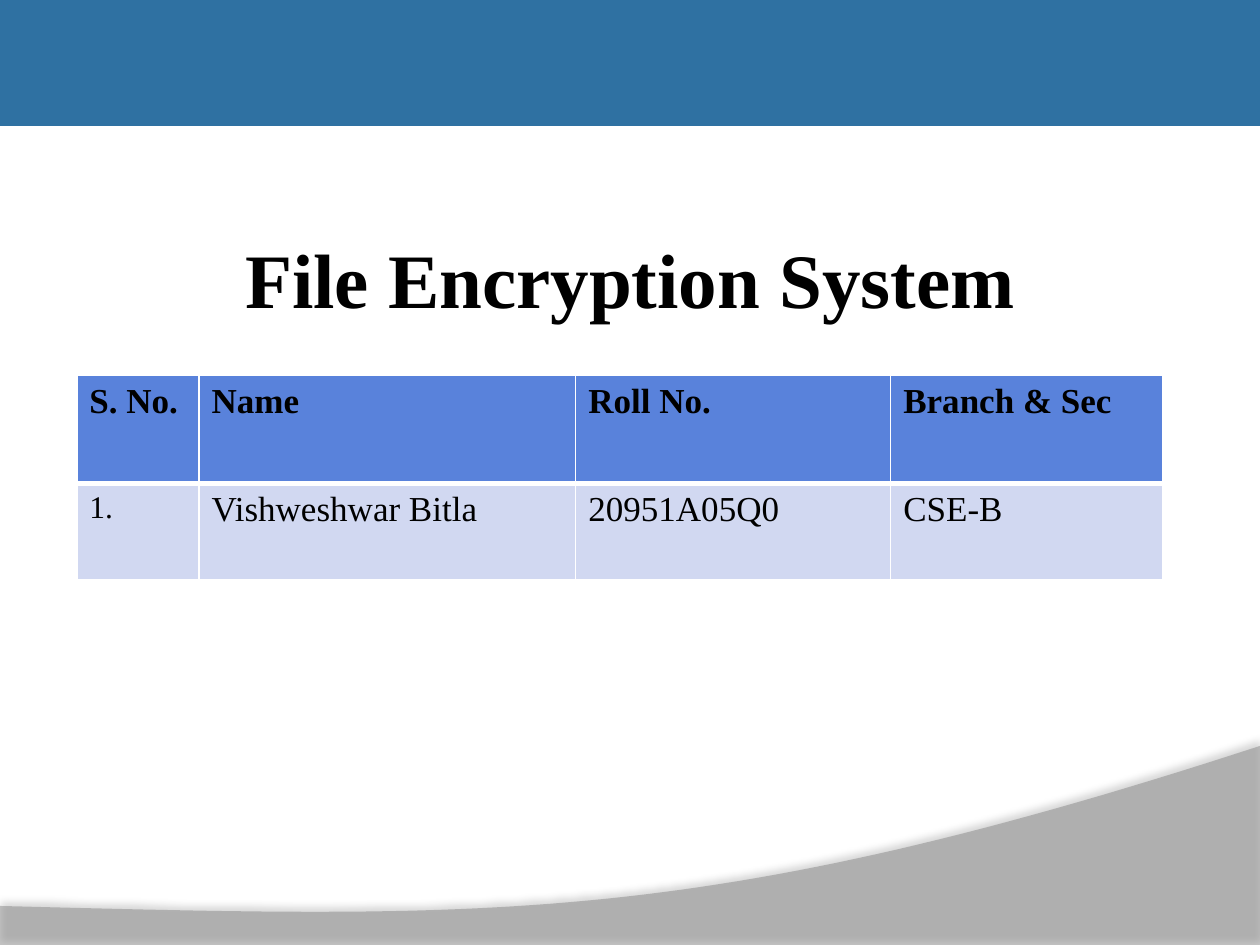
from lxml.etree import SubElement
from pptx import Presentation
from pptx.dml.color import RGBColor
from pptx.enum.shapes import MSO_SHAPE
from pptx.enum.text import MSO_ANCHOR, PP_ALIGN
from pptx.oxml.ns import qn
from pptx.util import Inches, Pt

TITLE = "File Encryption System"
ROWS = [
    ["S. No.", "Name", "Roll No.", "Branch & Sec"],
    ["1.", "Vishweshwar Bitla", "20951A05Q0", "CSE-B"],
]
COLUMN_WIDTHS = [0.97, 2.99, 2.5, 2.16]
ROW_HEIGHTS = [0.86, 0.76]
WAVE_CURVE = [(10, 5.92), (5.59, 7.36), (3.91, 7.29), (0, 7.19)]
WAVE_BOTTOM = 7.51
WAVE_STEPS = 60
FONT = "Times New Roman"
COLORS = {
    "banner": "2F71A2",
    "wave": "7F7F7F",
    "header": "5982DB",
    "body": "D1D8F1",
    "border": "FFFFFF",
    "text": "000000",
}


def color(name):
    return RGBColor.from_string(COLORS[name])


def fill_shape(shape, name):
    shape.shadow.inherit = False
    shape.fill.solid()
    shape.fill.fore_color.rgb = color(name)
    shape.line.fill.background()


def format_text(text_frame, size, bold):
    for run in text_frame.paragraphs[0].runs:
        run.font.name = FONT
        run.font.size = Pt(size)
        run.font.bold = bold
        run.font.color.rgb = color("text")


def curve_point(t):
    weights = ((1 - t) ** 3, 3 * t * (1 - t) ** 2, 3 * t ** 2 * (1 - t), t ** 3)
    return tuple(
        Inches(sum(weight * point[axis] for weight, point in zip(weights, WAVE_CURVE)))
        for axis in (0, 1)
    )


def add_wave(slide):
    builder = slide.shapes.build_freeform(Inches(0), Inches(WAVE_BOTTOM))
    curve = [curve_point(step / WAVE_STEPS) for step in range(WAVE_STEPS + 1)]
    builder.add_line_segments([(Inches(10), Inches(WAVE_BOTTOM)), *curve], close=True)
    wave = builder.convert_to_shape()
    fill_shape(wave, "wave")
    properties = wave._element.spPr
    fill_color = properties.find(qn("a:solidFill")).find(qn("a:srgbClr"))
    SubElement(fill_color, qn("a:alpha"), val="45000")
    shadow = SubElement(
        properties.find(qn("a:effectLst")), qn("a:outerShdw"),
        blurRad=str(Pt(4)), dist=str(Pt(3.5)), dir="16200000", rotWithShape="0",
    )
    shadow_color = SubElement(shadow, qn("a:srgbClr"), val=COLORS["text"])
    SubElement(shadow_color, qn("a:alpha"), val="35000")


def set_borders(cell, bottom_width):
    properties = cell._tc.get_or_add_tcPr()
    for side, width in (("L", 1), ("R", 1), ("T", 1), ("B", bottom_width)):
        line = SubElement(properties, qn(f"a:ln{side}"), w=str(Pt(width)))
        line_fill = SubElement(line, qn("a:solidFill"))
        SubElement(line_fill, qn("a:srgbClr"), val=COLORS["border"])


def add_members_table(slide):
    table = slide.shapes.add_table(
        len(ROWS), len(COLUMN_WIDTHS), Inches(0.61), Inches(2.98),
        Inches(sum(COLUMN_WIDTHS)), Inches(sum(ROW_HEIGHTS)),
    ).table
    for column, width in zip(table.columns, COLUMN_WIDTHS):
        column.width = Inches(width)
    for row_index, (row, height) in enumerate(zip(table.rows, ROW_HEIGHTS)):
        row.height = Inches(height)
        is_header = row_index == 0
        for column_index, cell in enumerate(row.cells):
            cell.text_frame.text = ROWS[row_index][column_index]
            is_number = not is_header and column_index == 0
            format_text(cell.text_frame, 18 if is_number else 20, is_header)
            set_borders(cell, 3 if is_header else 1)
            cell.fill.solid()
            cell.fill.fore_color.rgb = color("header" if is_header else "body")


def add_title(slide):
    title = slide.shapes.title
    title.left, title.top = Inches(0.61), Inches(1.79)
    title.width, title.height = Inches(8.79), Inches(0.84)
    text_frame = title.text_frame
    text_frame.text = TITLE
    text_frame.word_wrap = True
    text_frame.vertical_anchor = MSO_ANCHOR.TOP
    text_frame.paragraphs[0].alignment = PP_ALIGN.CENTER
    format_text(text_frame, 44, True)


def main():
    presentation = Presentation()
    presentation.slide_width = Inches(10)
    presentation.slide_height = Inches(7.5)
    slide = presentation.slides.add_slide(presentation.slide_layouts[5])
    add_wave(slide)
    banner = slide.shapes.add_shape(MSO_SHAPE.RECTANGLE, 0, 0, Inches(10), Inches(1))
    fill_shape(banner, "banner")
    add_title(slide)
    add_members_table(slide)
    presentation.save("out.pptx")


if __name__ == "__main__":
    main()
